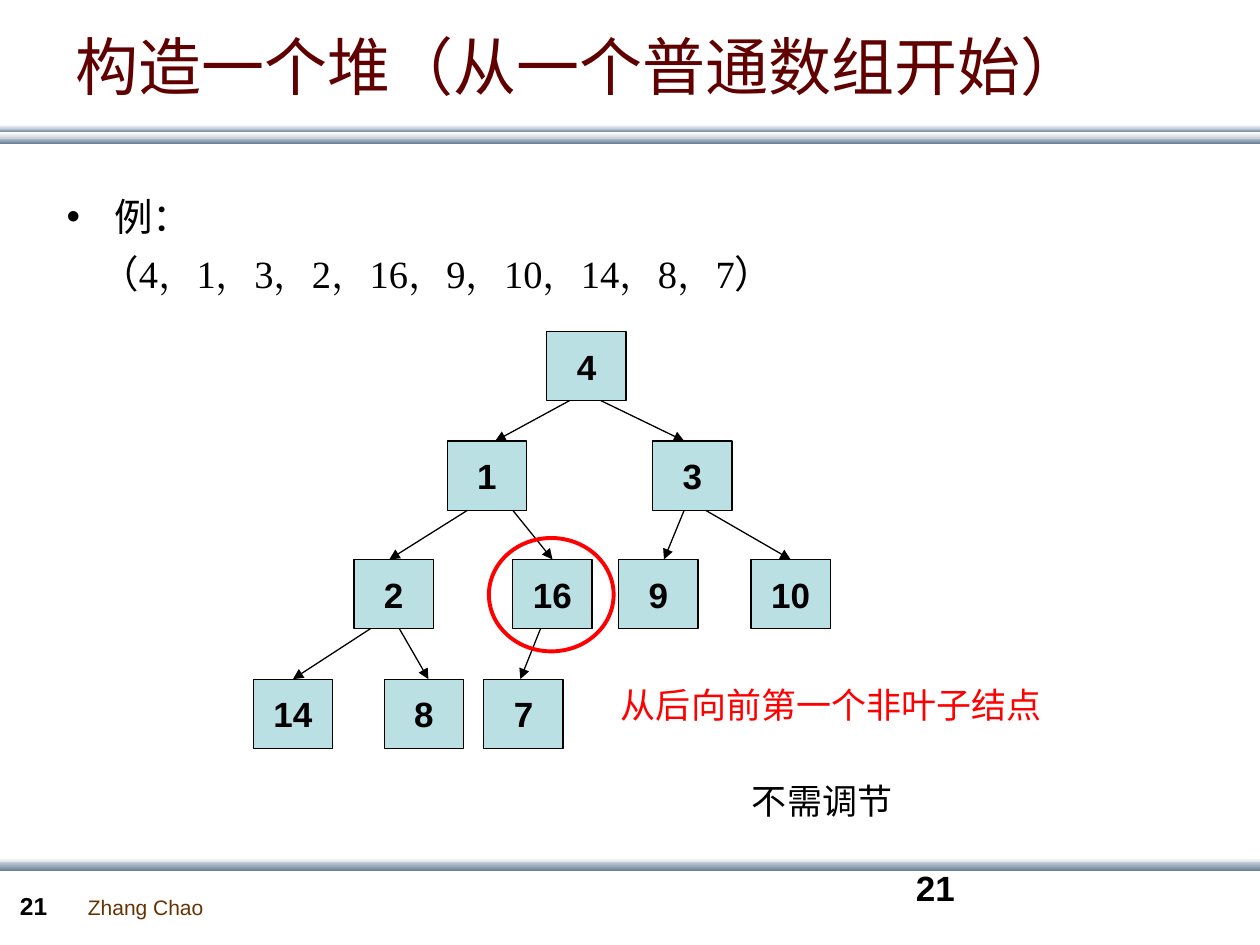
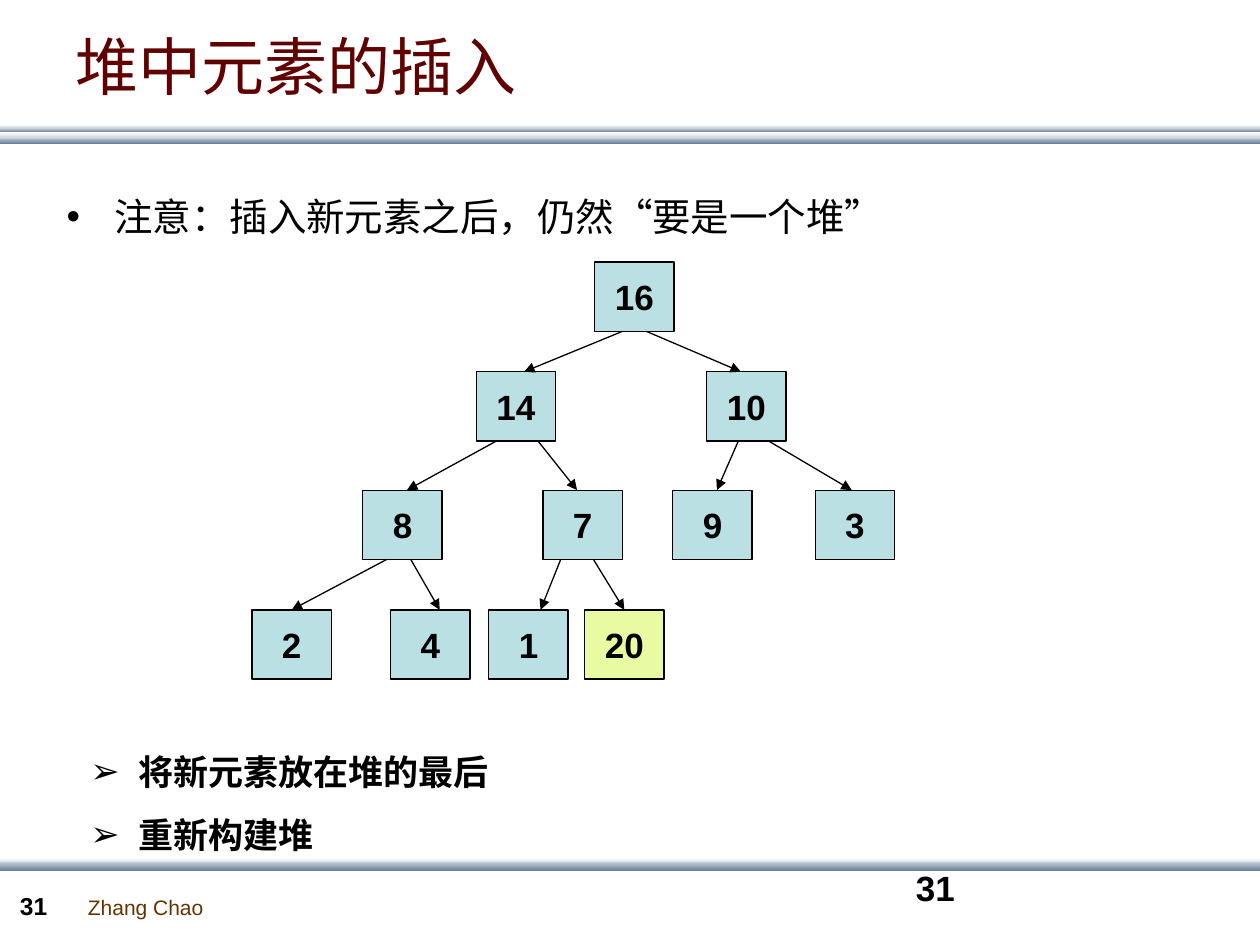
from lxml.etree import SubElement
from pptx import Presentation
from pptx.dml.color import RGBColor
from pptx.enum.shapes import MSO_CONNECTOR as CONN, MSO_SHAPE as SHAPE
from pptx.enum.text import MSO_ANCHOR as ANCHOR, PP_ALIGN as ALIGN
from pptx.oxml.ns import qn
from pptx.util import Inches, Pt

BLACK = RGBColor(0, 0, 0)
WHITE = RGBColor(255, 255, 255)
RED = RGBColor(255, 0, 0)
MAROON = RGBColor(0x60, 0, 0)
BROWN = RGBColor(0x66, 0x33, 0)
MIST = RGBColor(0xC8, 0xD1, 0xDA)
SLATE = RGBColor(0x6A, 0x83, 0x9C)
NODE_BLUE = RGBColor(0xBB, 0xE0, 0xE3)
NEW_GREEN = RGBColor(0xE8, 0xFB, 0xA3)

CJK, SANS, SERIF = "Noto Sans CJK SC", "Arial", "Times New Roman"
WIDTH, HEIGHT = 10, 7.5
NODE_W, NODE_H = 0.63, 0.55
LEVEL_DROPS = (0, 0.87, 1.81, 2.76)
HANG = 0.38

# top, height, upper colour, lower colour
BANDS = (
    (1.09, 0.05, MIST, SLATE),
    (1.02, 0.03, MIST, SLATE),
    (1.05, 0.05, WHITE, MIST),
    (0.99, 0.03, WHITE, MIST),
    (6.81, 0.05, WHITE, MIST),
    (6.84, 0.07, MIST, SLATE),
)

# Heap order: value, left, arrow start x, arrow end x (None: middle of the node)
BUILD_HEAP = (
    (4, 4.34, None, None),
    (1, 3.55, 4.52, 3.93), (3, 5.18, 4.77, 5.43),
    (2, 2.81, 3.71, 3.09), (16, 4.07, 4.07, None),
    (9, 4.91, 5.43, 5.27), (10, 5.96, 5.6, None),
    (14, 2.01, 2.94, None), (8, 3.05, 3.17, 3.4), (7, 3.84, 4.29, 4.13),
)
INSERT_HEAP = (
    (16, 4.72, None, None),
    (14, 3.78, 4.94, 4.16), (10, 5.61, 5.13, 5.88),
    (8, 2.88, 3.94, 3.23), (7, 4.31, 4.27, 4.58),
    (9, 5.34, 5.86, 5.69), (3, 6.47, 6.1, 6.76),
    (2, 2, 3.07, None), (4, 3.1, 3.26, 3.49), (1, 3.88, 4.45, 4.29),
    (20, 4.64, 4.71, None),
)


def add_run(p, text, size=20, font=CJK, color=BLACK, bold=False):
    r = p.add_run()
    r.text = text
    r.font.size, r.font.bold, r.font.name = Pt(size), bold, font
    r.font.color.rgb = color
    SubElement(r._r.get_or_add_rPr(), qn("a:ea")).set("typeface", font)


def add_text(s, text, left, top, width, height, line=None, **fmt):
    """Add a wrapped text box; line is a fixed line height in points."""
    tf = s.shapes.add_textbox(*map(Inches, (left, top, width, height))).text_frame
    tf.word_wrap = True
    p = tf.paragraphs[0]
    if line:
        p.line_spacing = Pt(line)
    if text:
        add_run(p, text, **fmt)
    return tf


def set_indent(p, left, bullet=None):
    """Indent a paragraph, hanging its first line when it has a bullet."""
    pPr = p._p.get_or_add_pPr()
    pPr.set("marL", str(Inches(left)))
    pPr.set("indent", str(-Inches(left) if bullet else 0))
    if bullet:
        SubElement(pPr, qn("a:buFont")).set("typeface", SANS)
        SubElement(pPr, qn("a:buChar")).set("char", bullet)


def add_body(s, text):
    tf = add_text(s, text, 0.43, 1.47, 9.07, 1, line=27.5, size=22)
    set_indent(tf.paragraphs[0], HANG, "•")
    return tf


def add_shape(s, kind, left, top, width, height):
    sp = s.shapes.add_shape(kind, *map(Inches, (left, top, width, height)))
    sp.shadow.inherit = False
    return sp


def add_band(s, top, height, upper, lower):
    sp = add_shape(s, SHAPE.RECTANGLE, 0, top, WIDTH, height)
    sp.line.fill.background()
    sp.fill.gradient()
    sp.fill.gradient_angle = 270
    for stop, color, position in zip(sp.fill.gradient_stops, (upper, lower), (0, 1)):
        stop.color.rgb = color
        stop.position = position


def add_node(s, value, left, top, fill):
    sp = add_shape(s, SHAPE.RECTANGLE, left, top, NODE_W, NODE_H)
    sp.fill.solid()
    sp.fill.fore_color.rgb = fill
    sp.line.color.rgb, sp.line.width = BLACK, Pt(0.75)
    tf = sp.text_frame
    tf.word_wrap = False
    tf.vertical_anchor = ANCHOR.MIDDLE
    tf.paragraphs[0].alignment = ALIGN.CENTER
    add_run(tf.paragraphs[0], str(value), font=SANS, bold=True)
    return sp


def add_arrow(s, parent, child, start_x, end_x):
    middle = child.left + child.width // 2
    c = s.shapes.add_connector(
        CONN.STRAIGHT, Inches(start_x), parent.top + parent.height,
        Inches(end_x) if end_x else middle, child.top)
    if end_x is None:
        c.end_connect(child, 0)
    c.line.color.rgb, c.line.width = BLACK, Pt(0.75)
    SubElement(c.line._get_or_add_ln(), qn("a:tailEnd")).set("type", "triangle")
    SubElement(c._element.spPr, qn("a:effectLst"))


def add_heap(s, heap, top, new_value=None):
    nodes = []
    for i, (value, left, start_x, end_x) in enumerate(heap):
        level = (i + 1).bit_length() - 1
        fill = NEW_GREEN if value == new_value else NODE_BLUE
        nodes.append(add_node(s, value, left, top + LEVEL_DROPS[level], fill))
        if i:
            add_arrow(s, nodes[(i - 1) // 2], nodes[i], start_x, end_x)


def add_slide(prs, title, number):
    """Add a slide with the shared title, bands and footer."""
    s = prs.slides.add_slide(prs.slide_layouts[5])
    for band in BANDS:
        add_band(s, *band)
    add_text(s, "Zhang Chao", 0.6, 7.05, 1.3, 0.3, size=12, font=SANS, color=BROWN)
    add_text(s, number, 0.06, 7.02, 0.55, 0.34, size=14, font=SANS, bold=True)
    add_text(s, number, 7.17, 6.83, 2.33, 0.5, font=SANS, bold=True)

    sp = s.shapes.title
    sp.left, sp.top, sp.width, sp.height = map(Inches, (0.5, -0.11, 9, 1.25))
    sp.text_frame.vertical_anchor = ANCHOR.MIDDLE
    p = sp.text_frame.paragraphs[0]
    p.alignment = ALIGN.LEFT
    add_run(p, title, size=36, color=MAROON)
    return s


def build_heap_slide(prs):
    s = add_slide(prs, "构造一个堆（从一个普通数组开始）", "21")
    p = add_body(s, "例：").add_paragraph()
    set_indent(p, 0.27)
    p.line_spacing, p.space_before = Pt(27.5), Pt(5)
    add_run(p, "（", size=22)
    add_run(p, "，".join(str(node[0]) for node in BUILD_HEAP), size=22, font=SERIF)
    add_run(p, "）", size=22)

    add_heap(s, BUILD_HEAP, 2.63)
    ring = add_shape(s, SHAPE.OVAL, 3.88, 4.27, 0.99, 0.9)
    ring.fill.background()
    ring.line.color.rgb, ring.line.width = RED, Pt(2.25)
    add_text(s, "从后向前第一个非叶子结点", 4.83, 5.36, 3.63, 0.44, line=25, color=RED)
    add_text(s, "不需调节", 5.87, 6.12, 3.63, 0.44, line=25)


def insert_slide(prs):
    s = add_slide(prs, "堆中元素的插入", "31")
    add_body(s, "注意：插入新元素之后，仍然“要是一个堆”")
    add_heap(s, INSERT_HEAP, 2.08, new_value=20)
    tf = add_text(s, "", 0.62, 5.74, 6.1, 1.1)
    for i, step in enumerate(("将新元素放在堆的最后", "重新构建堆")):
        p = tf.add_paragraph() if i else tf.paragraphs[0]
        set_indent(p, HANG, "➢")
        p.line_spacing = Pt(36)
        add_run(p, step, bold=True)


def main():
    prs = Presentation()
    prs.slide_width, prs.slide_height = Inches(WIDTH), Inches(HEIGHT)
    build_heap_slide(prs)
    insert_slide(prs)
    prs.save("out.pptx")


if __name__ == "__main__":
    main()
